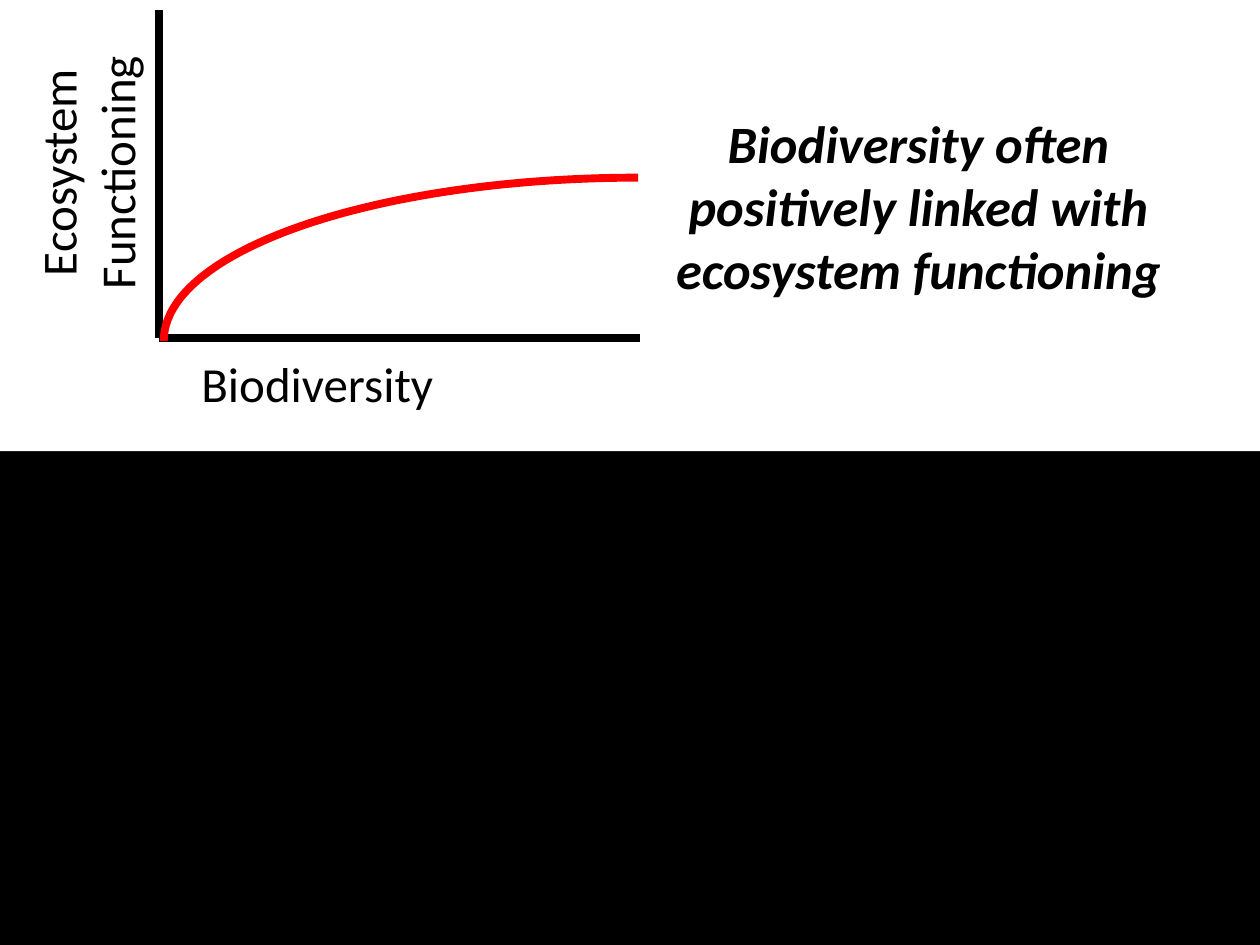
from pptx import Presentation
from pptx.dml.color import RGBColor
from pptx.enum import shapes, text
from pptx.oxml.ns import qn
from pptx.util import Inches, Pt
from lxml import etree

COLORS = {"ink": "000000", "panel": "FFFFFF", "curve": "FF0000"}
FONT = "Calibri"
LINE_WIDTH = 4.5

PANEL = (0, 0, 10, 3.58)
ORIGIN = (1.26, 2.68)
AXIS_ENDS = [(1.26, 0.08), (5.08, 2.68)]
CURVE = (1.3, 1.41, 7.53, 2.59)

# text, box, size, bold italic, centred, wrapped, rotation
LABELS = [
    ("Biodiversity often positively linked with ecosystem functioning",
     (5.25, 0.83, 4.08, 1.62), 30, True, True, True, 0),
    ("Ecosystem Functioning",
     (-0.65, 0.9, 2.58, 0.94), 28, False, True, True, 270),
    ("Biodiversity",
     (1.5, 2.76, 2.06, 0.57), 28, False, False, False, 0),
]


def color(name):
    return RGBColor.from_string(COLORS[name])


def inches(values):
    return [Inches(v) for v in values]


def set_line(sp, name):
    sp.line.color.rgb = color(name)
    sp.line.width = Pt(LINE_WIDTH)


def add_panel(slide):
    sp = slide.shapes.add_shape(shapes.MSO_SHAPE.RECTANGLE, *inches(PANEL))
    sp.shadow.inherit = False
    sp.fill.solid()
    sp.fill.fore_color.rgb = color("panel")
    sp.line.fill.background()


def add_axis(slide, end):
    sp = slide.shapes.add_connector(
        shapes.MSO_CONNECTOR.STRAIGHT, *inches(end + ORIGIN))
    set_line(sp, "ink")
    etree.SubElement(sp._element.spPr, qn("a:effectLst"))


def add_curve(slide):
    """Quarter arc, mirrored so that it rises from the origin and levels off."""
    sp = slide.shapes.add_shape(shapes.MSO_SHAPE.ARC, *inches(CURVE))
    sp.shadow.inherit = False
    sp.fill.background()
    set_line(sp, "curve")
    sp._element.spPr.find(qn("a:xfrm")).set("flipH", "1")


def add_label(slide, words, box, size, strong, centred, wrapped, rotation):
    sp = slide.shapes.add_textbox(*inches(box))
    sp.rotation = rotation
    tf = sp.text_frame
    tf.word_wrap = wrapped
    tf.auto_size = text.MSO_AUTO_SIZE.SHAPE_TO_FIT_TEXT
    p = tf.paragraphs[0]
    p.text = words
    p.alignment = text.PP_ALIGN.CENTER if centred else text.PP_ALIGN.LEFT
    p.font.name = FONT
    p.font.size = Pt(size)
    p.font.bold = p.font.italic = strong
    p.font.color.rgb = color("ink")


def main():
    prs = Presentation()
    prs.slide_width, prs.slide_height = Inches(10), Inches(7.5)
    slide = prs.slides.add_slide(prs.slide_layouts[6])
    slide.background.fill.solid()
    slide.background.fill.fore_color.rgb = color("ink")

    add_panel(slide)
    for end in AXIS_ENDS:
        add_axis(slide, end)
    add_curve(slide)
    for label in LABELS:
        add_label(slide, *label)
    prs.save("out.pptx")


if __name__ == "__main__":
    main()
